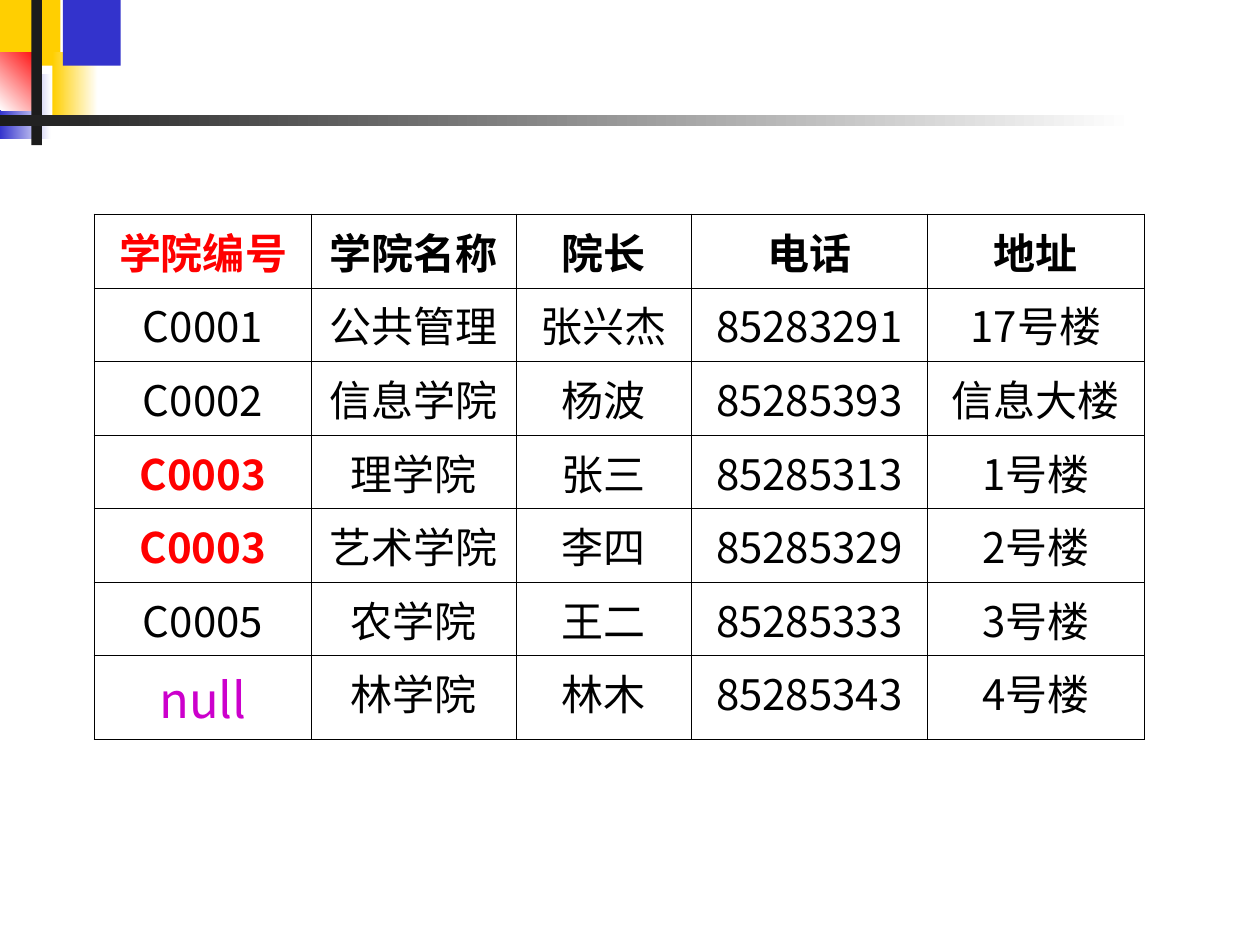
from dataclasses import dataclass

from lxml import etree
from pptx import Presentation
from pptx.dml.color import RGBColor
from pptx.enum import shapes, text
from pptx.oxml import ns
from pptx.util import Pt


@dataclass(frozen=True)
class Theme:
    """Colours, font, type sizes and line widths of the deck."""
    white: str = "FFFFFF"
    black: str = "000000"
    ink: str = "1C1C1C"
    yellow: str = "FFCF01"
    blue: str = "3333CC"
    red: str = "FF0000"
    purple: str = "CC00CC"
    font: str = "Noto Sans CJK SC"
    body: float = 24
    large: float = 28
    outer: float = 1.08
    inner: float = 0.45


T = Theme()

ORNAMENT = [
    (0, 0, 34.5, 37.5, (T.yellow,), 0),
    (30, 30, 26, 37.5, (T.yellow, T.white), 0),
    (36, 0, 33, 37.5, (T.blue,), 0),
    (0, 42, 29, 37.5, (T.blue, T.white), 0),
    (0, 30, 24, 33, (T.white, T.red), 45),
    (18, 0, 6, 83, (T.ink,), 0),
    (0, 66, 648, 6, (T.ink, T.white), 0),
]

COLLEGES = [
    ("学院编号", "学院名称", "院长", "电话", "地址"),
    ("C0001", "公共管理", "张兴杰", "85283291", "17号楼"),
    ("C0002", "信息学院", "杨波", "85285393", "信息大楼"),
    ("C0003", "理学院", "张三", "85285313", "1号楼"),
    ("C0003", "艺术学院", "李四", "85285329", "2号楼"),
    ("C0005", "农学院", "王二", "85285333", "3号楼"),
    ("null", "林学院", "林木", "85285343", "4号楼"),
]
COLUMN_SHARES = (124, 117, 100, 135, 124)
ROW_HEIGHTS = (42,) * 6 + (47.75,)

KEY_STYLE = {"color": T.red, "bold": True}
SPECIAL = {
    "学院编号": KEY_STYLE,
    "C0003": KEY_STYLE,
    "null": {"color": T.purple, "size": Pt(T.large)},
}


def add_block(slide, left, top, width, height, colors, angle):
    """Draw one borderless rectangle with a solid or two-colour fill."""
    s = slide.shapes.add_shape(shapes.MSO_SHAPE.RECTANGLE,
                               Pt(left), Pt(top), Pt(width), Pt(height))
    s.shadow.inherit = False
    s.line.fill.background()
    if len(colors) == 1:
        s.fill.solid()
        s.fill.fore_color.rgb = RGBColor.from_string(colors[0])
        return
    s.fill.gradient()
    s.fill.gradient_angle = angle
    for stop, color, position in zip(s.fill.gradient_stops, colors, (0, 1)):
        stop.color.rgb = RGBColor.from_string(color)
        stop.position = position


def add_ornament(slide, left, top):
    """Place the corner blocks and the fading rule from a top-left point."""
    for x, y, width, height, colors, angle in ORNAMENT:
        add_block(slide, left + x, top + y, width, height, colors, angle)


def set_borders(cell, outer_sides):
    """Give a cell thin borders, with heavier ones on the outer sides."""
    tcPr = cell._tc.get_or_add_tcPr()
    for side in "LRTB":
        width = T.outer if side in outer_sides else T.inner
        ln = etree.SubElement(tcPr, ns.qn(f"a:ln{side}"), w=str(Pt(width)))
        fill = etree.SubElement(ln, ns.qn("a:solidFill"))
        etree.SubElement(fill, ns.qn("a:srgbClr"), val=T.black)


def fill_cell(cell, value, header):
    """Write one centred value in the style its content calls for."""
    style = {"name": T.font, "size": Pt(T.body), "bold": header,
             "color": T.black} | SPECIAL.get(value, {})
    color = style.pop("color")
    p = cell.text_frame.paragraphs[0]
    p.alignment = text.PP_ALIGN.CENTER
    r = p.add_run()
    r.text = value
    for name, setting in style.items():
        setattr(r.font, name, setting)
    r.font.color.rgb = RGBColor.from_string(color)
    etree.SubElement(r._r.get_or_add_rPr(), ns.qn("a:ea"), typeface=T.font)


def add_college_table(slide, left, top, width):
    """Build the college table across the given width."""
    rows, cols = len(COLLEGES), len(COLUMN_SHARES)
    table = slide.shapes.add_table(rows, cols, Pt(left), Pt(top), Pt(width),
                                   Pt(sum(ROW_HEIGHTS))).table
    table.first_row = table.horz_banding = False
    for column, share in zip(table.columns, COLUMN_SHARES):
        column.width = Pt(width * share / sum(COLUMN_SHARES))
    for i, (row, height, values) in enumerate(
            zip(table.rows, ROW_HEIGHTS, COLLEGES)):
        row.height = Pt(height)
        for j, value in enumerate(values):
            cell = table.cell(i, j)
            edges = {"L": j == 0, "R": j == cols - 1,
                     "T": i == 0, "B": i == rows - 1}
            set_borders(cell, [side for side, on in edges.items() if on])
            cell.fill.background()
            fill_cell(cell, value, header=i == 0)


def main():
    """Build the slide and save the deck."""
    prs = Presentation()
    prs.slide_width, prs.slide_height = Pt(720), Pt(540)
    slide = prs.slides.add_slide(prs.slide_layouts[6])
    add_ornament(slide, 0, 0)
    add_college_table(slide, 54, 122.5, 600)
    prs.save("out.pptx")


if __name__ == "__main__":
    main()
